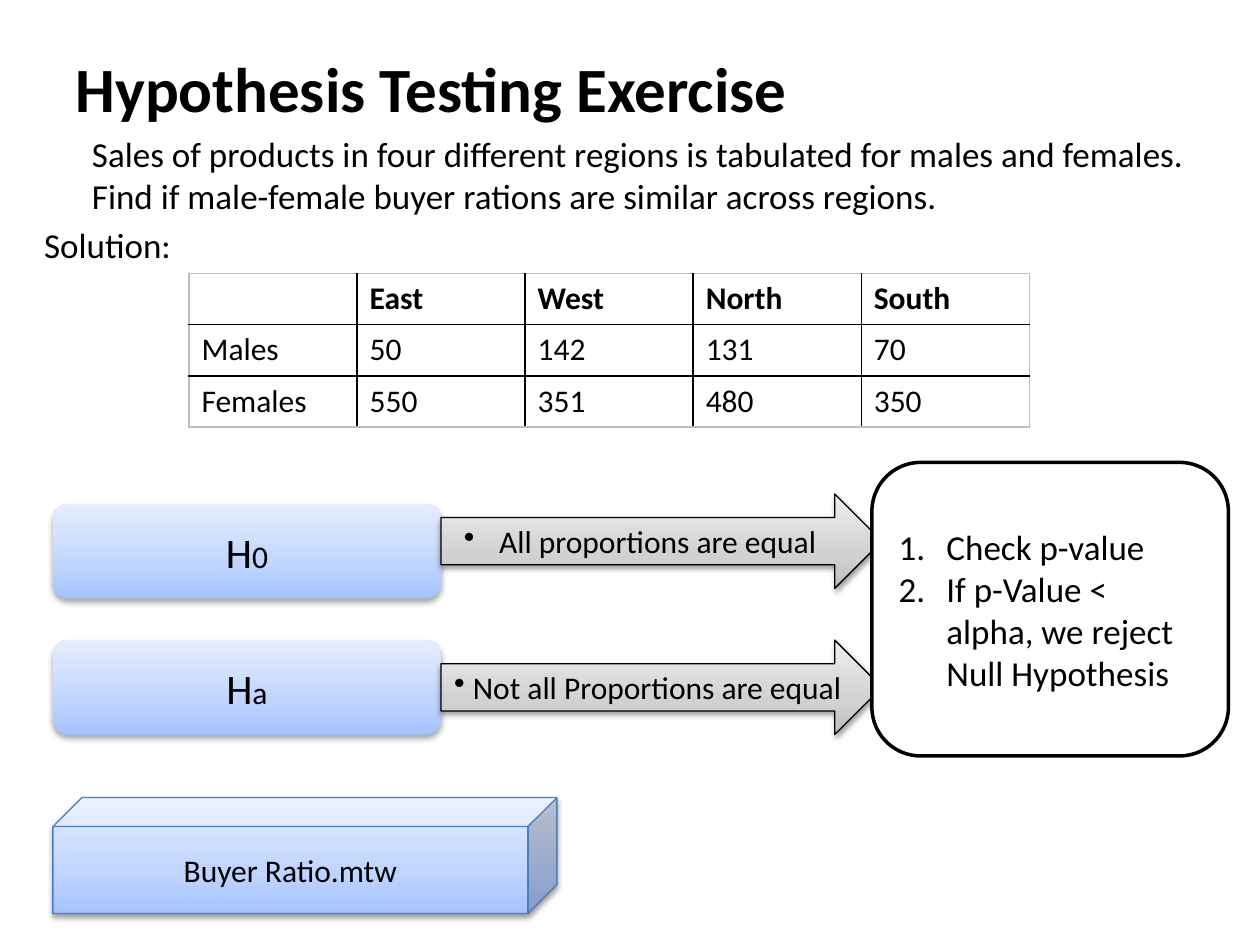
from dataclasses import dataclass
from typing import Optional

import lxml.etree
import pptx
import pptx.dml.color
import pptx.enum.shapes
import pptx.enum.text
import pptx.oxml
import pptx.oxml.ns
import pptx.util

Inches, Pt = pptx.util.Inches, pptx.util.Pt
qn = pptx.oxml.ns.qn
Shape = pptx.enum.shapes.MSO_SHAPE
Align = pptx.enum.text.PP_ALIGN
Anchor = pptx.enum.text.MSO_ANCHOR


@dataclass(frozen=True)
class Theme:
    font: str = "Calibri"
    ink: str = "000000"
    paper: str = "FFFFFF"
    table_edge: str = "BFBFBF"
    cube_edge: str = "4B7EBC"
    blue: tuple = ("A4C4FF", "BFD4FF", "E6EEFF")
    grey: tuple = ("BDBDBD", "D1D1D1", "EEEEEE")
    title: int = 36
    symbol: int = 24
    body: int = 20
    label: int = 18


@dataclass(frozen=True)
class Shadow:
    alpha: int
    blur: float
    distance: float


@dataclass(frozen=True)
class Block:
    kind: int
    box: tuple
    gradient: Optional[tuple] = None
    edge: Optional[str] = None
    weight: float = 0.75
    shadow: Optional[Shadow] = None


@dataclass(frozen=True)
class Hypothesis:
    subscript: str
    claim: str
    top: float
    arrow_top: float
    hang: float
    insets: tuple


THEME = Theme()
SOFT = Shadow(32, 3.5, 2.2)
CRISP = Shadow(38, 3.1, 1.6)
MARGIN, BOX_W, BOX_H, ARROW_W = 0.42, 3.08, 0.75, 3.5
HYPOTHESES = (
    Hypothesis("0", "All proportions are equal", 4, 3.92, 0.28, (0.1, 0.25)),
    Hypothesis("a", "Not all Proportions are equal", 5.08, 5.08, 0.15, (0.05, 0.08)),
)
BUYERS = (
    ("", "East", "West", "North", "South"),
    ("Males", "50", "142", "131", "70"),
    ("Females", "550", "351", "480", "350"),
)


def rgb(colour: str):
    return pptx.dml.color.RGBColor.from_string(colour)


def add_xml(parent, tag: str, **attributes):
    return lxml.etree.SubElement(parent, qn(tag), **attributes)


def style(run, size: int, bold: bool = False) -> None:
    run.font.name, run.font.size, run.font.bold = THEME.font, Pt(size), bold
    run.font.color.rgb = rgb(THEME.ink)


def place(shape, box: tuple) -> None:
    shape.left, shape.top, shape.width, shape.height = map(Inches, box)


def mark(paragraph, tag: str, left: float = 0, hang: float = 0, **attributes) -> None:
    """Set the indent of a paragraph and its bullet element."""
    properties = paragraph._p.get_or_add_pPr()
    properties.set("marL", str(Inches(left)))
    properties.set("indent", str(-Inches(hang)))
    add_xml(properties, tag, **attributes)


def draw(slide, block: Block):
    shape = slide.shapes.add_shape(block.kind, *map(Inches, block.box))
    shape.shadow.inherit = False
    if block.gradient:
        shape.fill.gradient()
        gradient = shape._element.spPr.find(qn("a:gradFill"))
        for child in list(gradient):
            gradient.remove(child)
        stops = add_xml(gradient, "a:gsLst")
        for position, colour in zip((0, 35, 100), block.gradient):
            stop = add_xml(stops, "a:gs", pos=str(position * 1000))
            add_xml(stop, "a:srgbClr", val=colour)
        add_xml(gradient, "a:lin", ang="16200000", scaled="0")
    else:
        shape.fill.solid()
        shape.fill.fore_color.rgb = rgb(THEME.paper)
    if block.edge:
        shape.line.color.rgb = rgb(block.edge)
        shape.line.width = Pt(block.weight)
    else:
        shape.line.fill.background()
    if block.shadow:
        effects = shape._element.spPr.find(qn("a:effectLst"))
        outer = add_xml(effects, "a:outerShdw", blurRad=str(Pt(block.shadow.blur)),
                        dist=str(Pt(block.shadow.distance)), dir="5400000", rotWithShape="0")
        tint = add_xml(outer, "a:srgbClr", val=THEME.ink)
        add_xml(tint, "a:alpha", val=str(block.shadow.alpha * 1000))
    shape.text_frame.word_wrap = True
    shape.text_frame.vertical_anchor = Anchor.MIDDLE
    shape.text_frame.paragraphs[0].alignment = Align.CENTER
    return shape


def draw_table(slide) -> None:
    rows, columns = len(BUYERS), len(BUYERS[0])
    table = slide.shapes.add_table(
        rows, columns, *map(Inches, (1.5, 2.17, 6.67, 1.22))).table
    table.horz_banding = False
    for r, record in enumerate(BUYERS):
        for c, value in enumerate(record):
            cell = table.cell(r, c)
            cell.text = value
            for run in cell.text_frame.paragraphs[0].runs:
                style(run, THEME.label, bold=r == 0)
            properties = cell._tc.get_or_add_tcPr()
            outer = {"a:lnL": c == 0, "a:lnR": c == columns - 1,
                     "a:lnT": r == 0, "a:lnB": r == rows - 1}
            for side, is_outer in outer.items():
                line = add_xml(properties, side, w=str(Pt(1)))
                ink = add_xml(line, "a:solidFill")
                add_xml(ink, "a:srgbClr", val=THEME.table_edge if is_outer else THEME.ink)
            cell.fill.background()


def draw_hypothesis(slide, hypothesis: Hypothesis) -> None:
    symbol = draw(slide, Block(Shape.ROUNDED_RECTANGLE,
                               (MARGIN, hypothesis.top, BOX_W, BOX_H),
                               THEME.blue, shadow=SOFT)).text_frame.paragraphs[0]
    for text, size in (("H", THEME.symbol), (hypothesis.subscript, THEME.label)):
        run = symbol.add_run()
        run.text = text
        style(run, size)
    arrow = draw(slide, Block(Shape.RIGHT_ARROW,
                              (MARGIN + BOX_W, hypothesis.arrow_top, ARROW_W, BOX_H),
                              THEME.grey, THEME.ink, shadow=CRISP)).text_frame
    arrow.margin_left, arrow.margin_right = map(Inches, hypothesis.insets)
    claim = arrow.paragraphs[0]
    claim.text = hypothesis.claim
    style(claim.runs[0], THEME.label)
    mark(claim, "a:buChar", hypothesis.hang, hypothesis.hang, char="•")


presentation = pptx.Presentation()
presentation.slide_width, presentation.slide_height = Inches(10), Inches(7.5)
slide = presentation.slides.add_slide(presentation.slide_layouts[1])

# Title and problem statement
title, problem = slide.placeholders
place(title, (0.5, 0.3, 9, 0.78))
title.text_frame.text = "Hypothesis Testing Exercise"
title.text_frame.vertical_anchor = Anchor.MIDDLE
title.text_frame.paragraphs[0].alignment = Align.LEFT
style(title.text_frame.paragraphs[0].runs[0], THEME.title, bold=True)

place(problem, (0.25, 1, 9.58, 6.25))
problem.text_frame.text = (
    "Sales of products in four different regions is tabulated for males and females. "
    "Find if male-female buyer rations are similar across regions.\nSolution:")
problem.text_frame.auto_size = pptx.enum.text.MSO_AUTO_SIZE.NONE
for paragraph, left in zip(problem.text_frame.paragraphs, (0.38, 0)):
    paragraph.space_before = Pt(4)
    mark(paragraph, "a:buNone", left)
    style(paragraph.runs[0], THEME.body)

# Buyer counts
draw_table(slide)

# Hypotheses and their claims
for hypothesis in HYPOTHESES:
    draw_hypothesis(slide, hypothesis)

# Decision rule
decision = draw(slide, Block(Shape.ROUNDED_RECTANGLE, (6.92, 3.67, 2.83, 2.33),
                             edge=THEME.ink, weight=2)).text_frame
decision.text = "Check p-value\nIf p-Value < alpha, we reject Null Hypothesis"
for step in decision.paragraphs:
    step.alignment = Align.LEFT
    mark(step, "a:buAutoNum", 0.38, 0.38, type="arabicPeriod")
    style(step.runs[0], THEME.body)

# Data file
data_file = draw(slide, Block(Shape.CUBE, (MARGIN, 6.33, 4, 0.92), THEME.blue,
                              THEME.cube_edge, shadow=CRISP)).text_frame.paragraphs[0]
data_file.text = "Buyer Ratio.mtw"
style(data_file.runs[0], THEME.label)

presentation.save("out.pptx")
